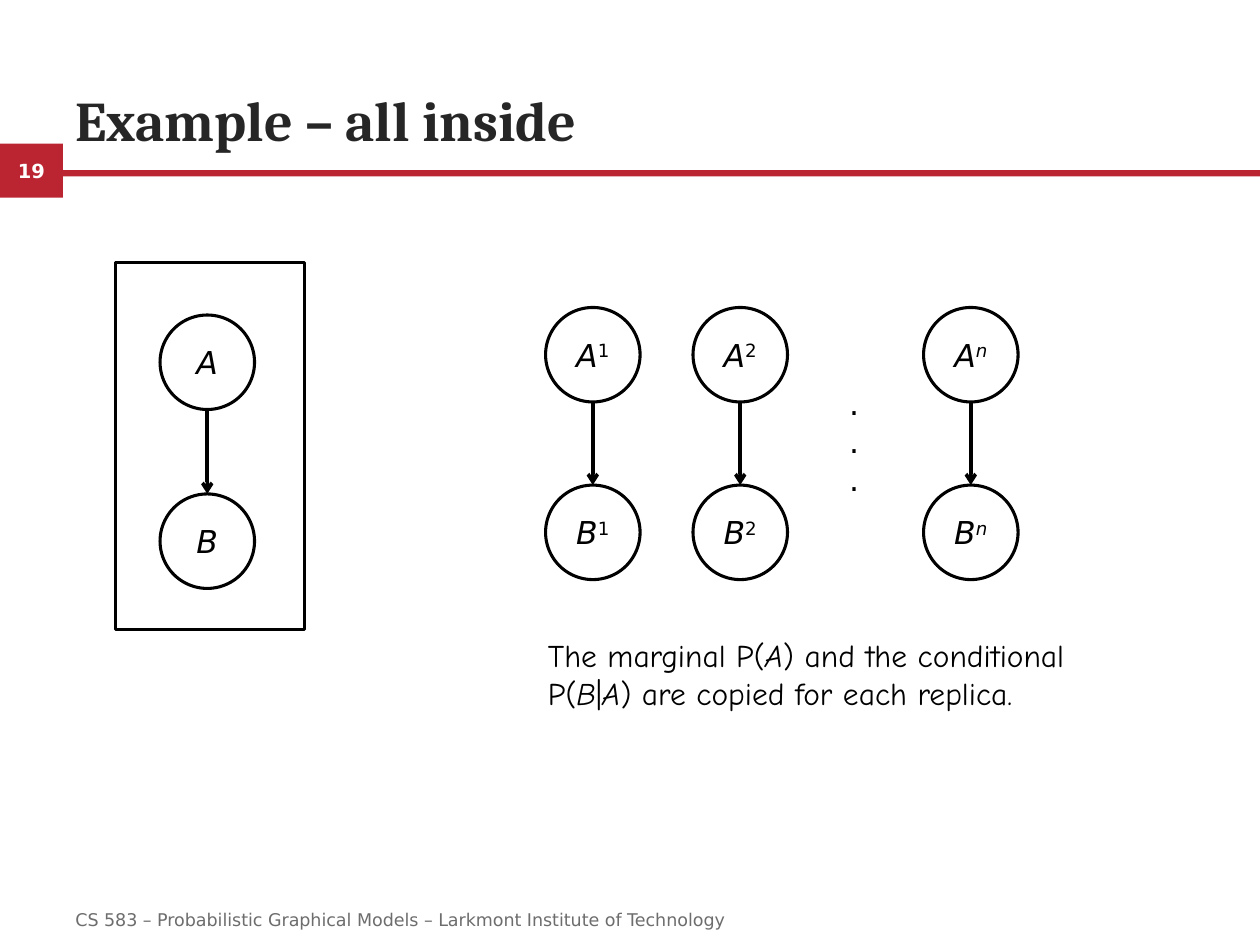
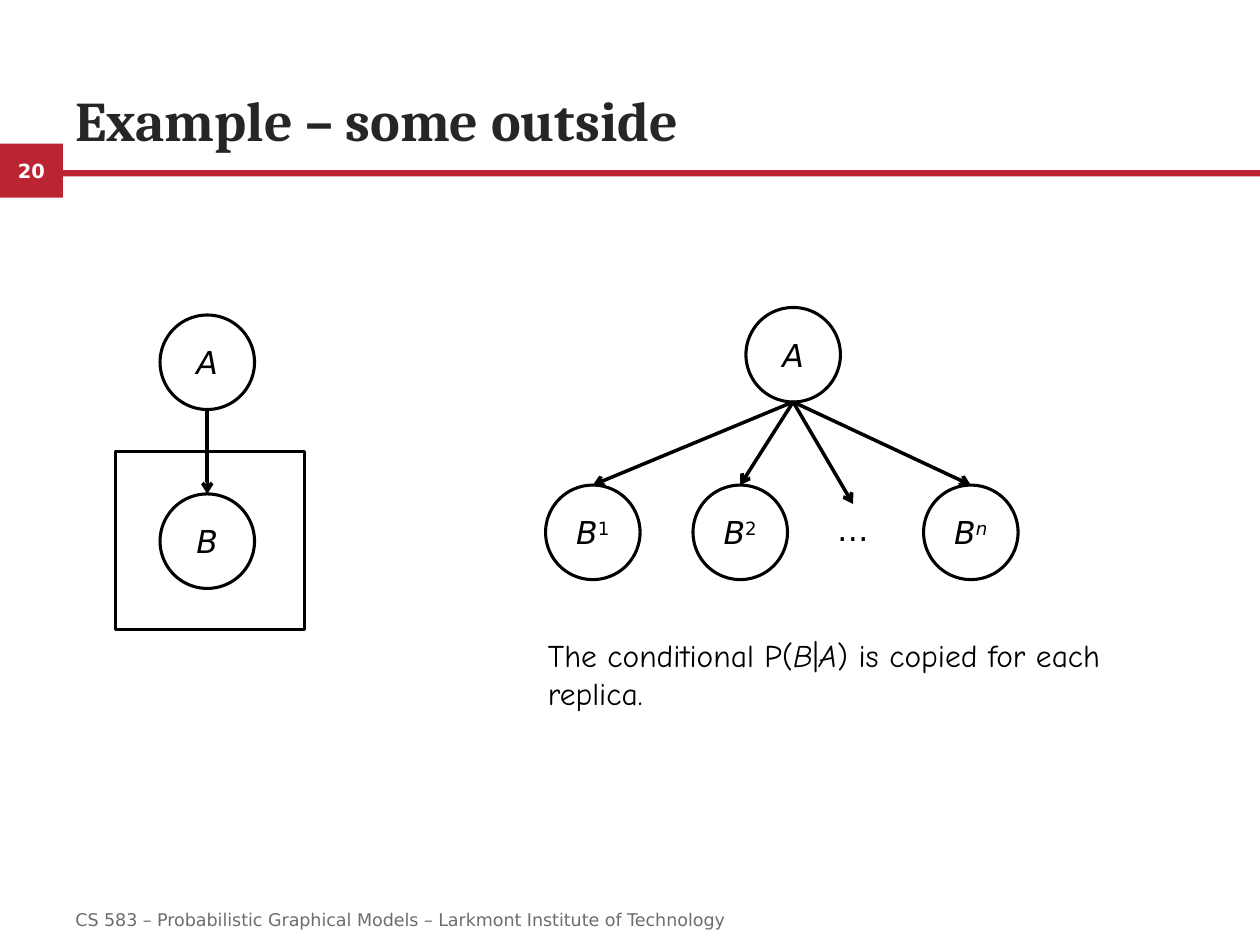
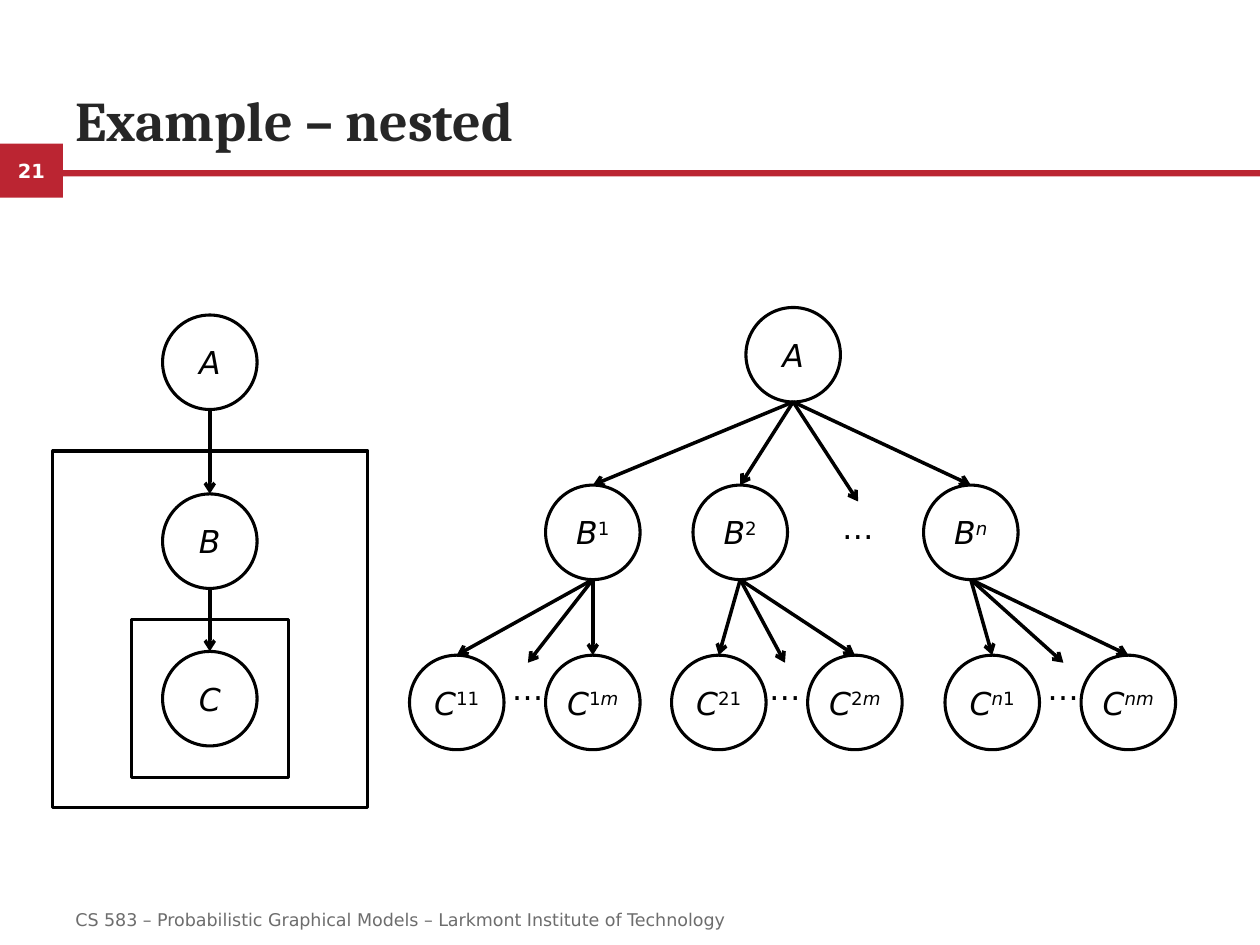
import itertools

import pptx
import pptx.dml.color
import pptx.enum.shapes
import pptx.enum.text
import pptx.oxml.ns
import pptx.util
from lxml import etree

Inches = pptx.util.Inches
Kind = pptx.enum.shapes.MSO_SHAPE
Anchor = pptx.enum.text.MSO_ANCHOR
Align = pptx.enum.text.PP_ALIGN

COLORS = {"red": "BB2532", "title": "262626", "ink": "000000",
          "foot": "6D6D6D", "white": "FFFFFF"}
SANS, SERIF, HAND = "DejaVu Sans", "Cambria", "Comic Neue"
FOOTER = "CS 583 – Probabilistic Graphical Models – Larkmont Institute of Technology"
NODE = 0.75
HALF = NODE / 2
DOT_W = 0.45
LEFT_ROWS = (0, 1.42, 2.67)
RIGHT_ROWS = (0, 1.41, 2.76)
ROOT = 2.67
COLS = {"1": 1.08, "2": 2.25, "n": 4.08}
LEAVES = {"1": (0, 0.94), "2": (2.08, 0.9), "n": (4.25, 0.94)}
LEAF_GAP = 1.08


def color(name):
    return pptx.dml.color.RGBColor.from_string(COLORS[name])


def style(run, size=18, font=SANS, ink="ink", bold=False, italic=False):
    run.font.size = pptx.util.Pt(size)
    run.font.name = font
    run.font.bold = bold
    run.font.italic = italic
    run.font.color.rgb = color(ink)


def write(shape, text, anchor=Anchor.TOP, align=Align.LEFT, wrap=True, **look):
    frame = shape.text_frame
    frame.text = text
    frame.word_wrap = wrap
    frame.vertical_anchor = anchor
    for para in frame.paragraphs:
        para.alignment = align
        for run in para.runs:
            style(run, **look)


def add_run(para, text, raised=False, **look):
    run = para.add_run()
    run.text = text
    style(run, **look)
    if raised:
        run.font._element.set("baseline", "30000")


def text_box(slide, *box):
    return slide.shapes.add_textbox(*map(Inches, box))


def shape(slide, kind, box, fill=None):
    item = slide.shapes.add_shape(kind, *map(Inches, box))
    item.shadow.inherit = False
    if fill:
        item.fill.solid()
        item.fill.fore_color.rgb = color(fill)
        item.line.fill.background()
    else:
        item.fill.background()
        item.line.color.rgb = color("ink")
        item.line.width = pptx.util.Pt(1.75)
    return item


def arrow(slide, start, end):
    link = slide.shapes.add_connector(
        pptx.enum.shapes.MSO_CONNECTOR.STRAIGHT, *map(Inches, start + end))
    link.line.color.rgb = color("ink")
    link.line.width = pptx.util.Pt(2)
    qn = pptx.oxml.ns.qn
    etree.SubElement(link.line._get_or_add_ln(), qn("a:tailEnd"), type="arrow")
    etree.SubElement(link._element.spPr, qn("a:effectLst"))


def node(slide, left, top, name, index=""):
    item = shape(slide, Kind.OVAL, (left, top, NODE, NODE))
    frame = item.text_frame
    frame.word_wrap = False
    frame.margin_left = frame.margin_right = 0
    frame.vertical_anchor = Anchor.MIDDLE
    para = frame.paragraphs[0]
    para.alignment = Align.CENTER
    add_run(para, name, italic=True)
    for digit, part in itertools.groupby(index, str.isdigit):
        add_run(para, "".join(part), raised=True, italic=not digit)


def join(slide, left, top, to_left, to_top):
    arrow(slide, (left + HALF, top + NODE), (to_left + HALF, to_top))


def chain(slide, left, top, names, rows, index=""):
    for name, row in zip(names, rows):
        node(slide, left, top + row, name, index)
    for row, below in itertools.pairwise(rows[:len(names)]):
        join(slide, left, top + row, left, top + below)


def plate(slide, *box):
    shape(slide, Kind.RECTANGLE, box)


def dots(slide, left, top, mid, end):
    box = text_box(slide, mid - DOT_W / 2, end, DOT_W, 0.4)
    write(box, "…", wrap=False)
    arrow(slide, (left + HALF, top + NODE), (mid, end))


def tree(slide, left, top, mid, end):
    root = left + ROOT
    row = top + RIGHT_ROWS[1]
    node(slide, root, top, "A")
    for index, col in COLS.items():
        node(slide, left + col, row, "B", index)
        join(slide, root, top, left + col, row)
    dots(slide, root, top, left + mid, top + end)


def leaves(slide, left, top):
    row = top + RIGHT_ROWS[1]
    base = top + RIGHT_ROWS[2]
    for index, (first, mid) in LEAVES.items():
        stem = left + COLS[index]
        for step, tail in enumerate("1m"):
            leaf = left + first + step * LEAF_GAP
            node(slide, leaf, base, "C", index + tail)
            join(slide, stem, row, leaf, base)
        dots(slide, stem, row, left + first + mid, base + 0.06)


def caption(slide, left, top, text):
    frame = text_box(slide, left, top, 4.75, 0.71).text_frame
    frame.word_wrap = True
    for place, part in enumerate(text.split("*")):
        add_run(frame.paragraphs[0], part, font=HAND, italic=place % 2 == 1)


def page(deck, number, title):
    slide = deck.slides.add_slide(deck.slide_layouts[6])
    badge = shape(slide, Kind.RECTANGLE, (0, 1.14, 0.5, 0.43), "red")
    write(badge, str(number), Anchor.MIDDLE, Align.CENTER,
          size=11.1, ink="white", bold=True)
    shape(slide, Kind.RECTANGLE, (0.5, 1.35, 9.5, 0.05), "red")
    write(text_box(slide, 0.5, 0.38, 9, 0.88), title, Anchor.BOTTOM,
          size=32, font=SERIF, ink="title", bold=True)
    write(text_box(slide, 0.5, 7.1, 8.17, 0.4), FOOTER, Anchor.MIDDLE,
          size=10, ink="foot")
    return slide


def inside(deck):
    slide = page(deck, 19, "Example – all inside")
    chain(slide, 1.27, 2.5, "AB", LEFT_ROWS)
    plate(slide, 0.92, 2.08, 1.5, 2.92)
    for index, col in COLS.items():
        chain(slide, 3.25 + col, 2.44, "AB", RIGHT_ROWS, index)
    write(text_box(slide, 6.64, 3, 0.27, 1.01), ".\n.\n.", wrap=False)
    caption(slide, 4.25, 5, "The marginal P(*A*) and the conditional "
            "P(*B*|*A*) are copied for each replica.")


def outside(deck):
    slide = page(deck, 20, "Example – some outside")
    chain(slide, 1.27, 2.5, "AB", LEFT_ROWS)
    plate(slide, 0.92, 3.58, 1.5, 1.42)
    tree(slide, 3.25, 2.44, 3.52, 1.56)
    caption(slide, 4.25, 5,
            "The conditional P(*B*|*A*) is copied for each replica.")


def nested(deck):
    slide = page(deck, 21, "Example – nested")
    chain(slide, 1.29, 2.5, "ABC", LEFT_ROWS)
    plate(slide, 0.42, 3.58, 2.5, 2.83)
    plate(slide, 1.04, 4.92, 1.25, 1.25)
    tree(slide, 3.25, 2.44, 3.56, 1.54)
    leaves(slide, 3.25, 2.44)


def main():
    deck = pptx.Presentation()
    deck.slide_width = Inches(10)
    deck.slide_height = Inches(7.5)
    inside(deck)
    outside(deck)
    nested(deck)
    deck.save("out.pptx")


if __name__ == "__main__":
    main()
